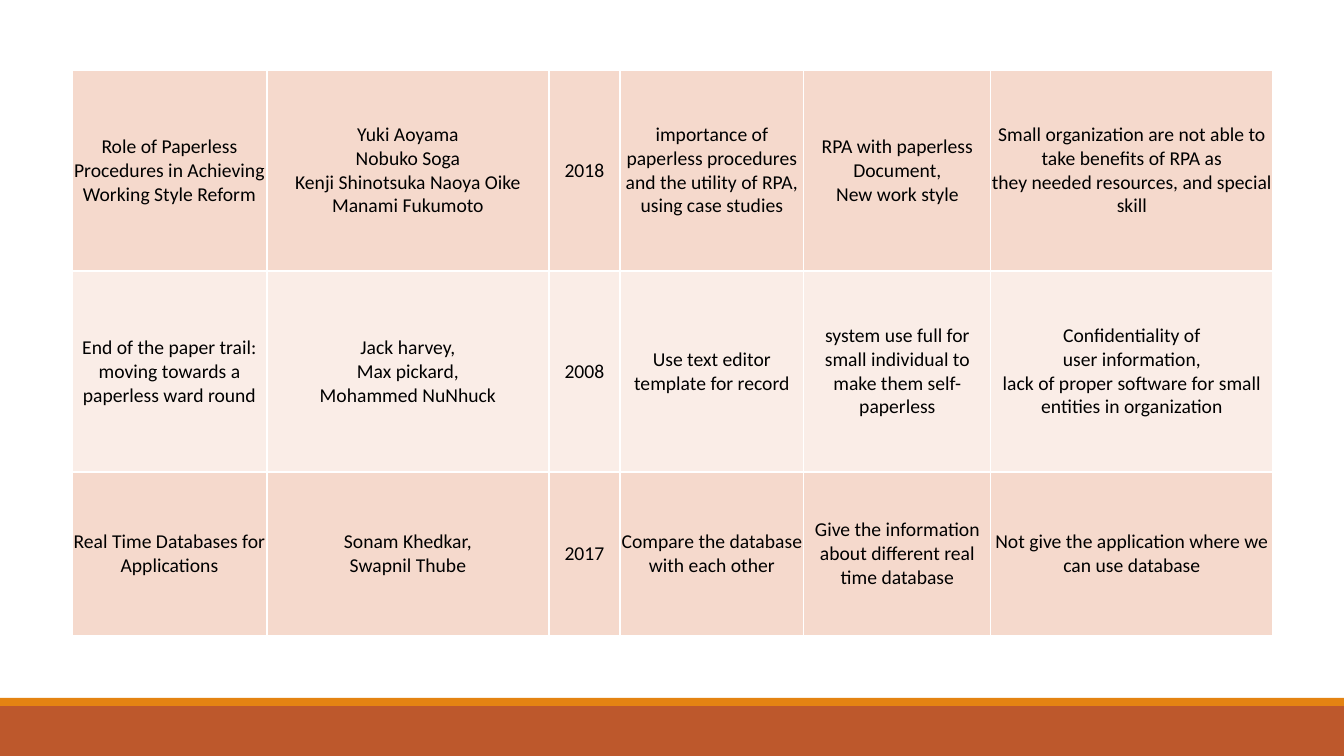
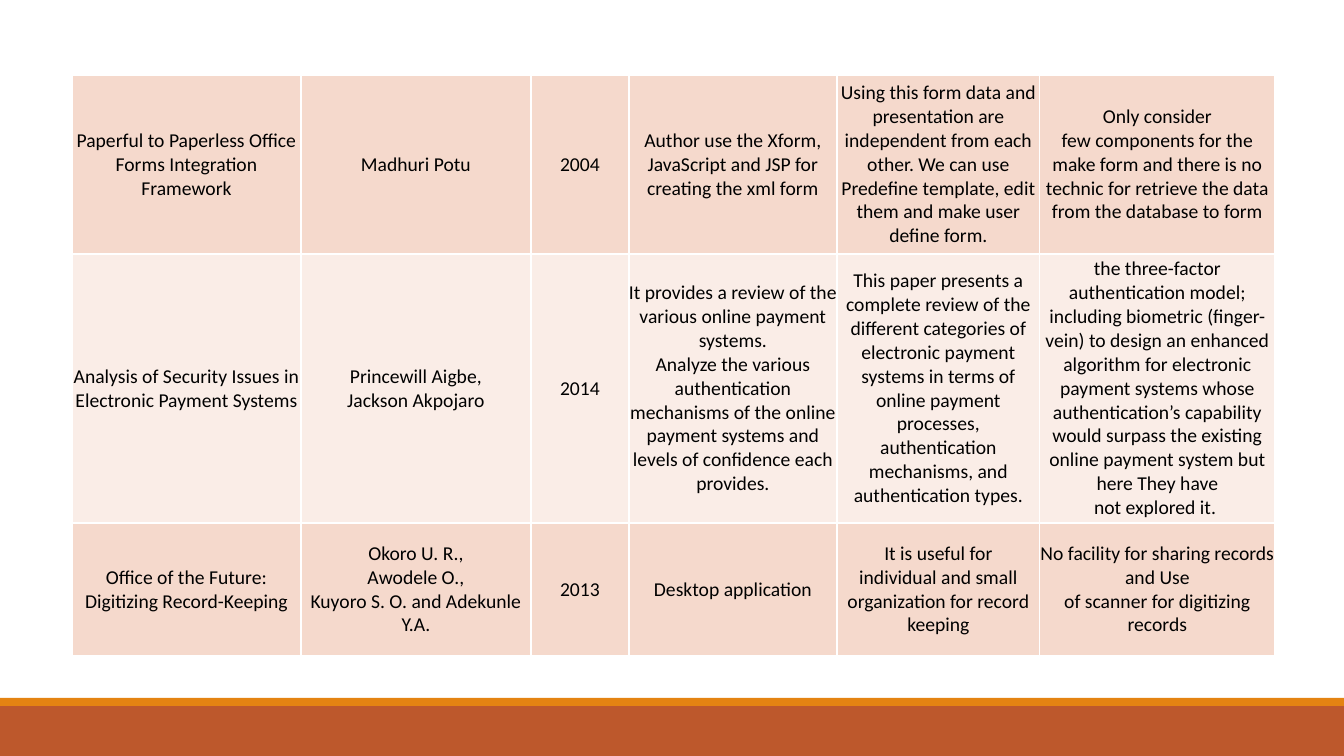
from pptx import Presentation
from pptx.dml.color import RGBColor
from pptx.enum.shapes import MSO_SHAPE
from pptx.enum.text import MSO_ANCHOR, PP_ALIGN
from pptx.oxml import parse_xml
from pptx.oxml.ns import nsdecls
from pptx.util import Pt

PX = 914400 / 100.8
WIDTH, HEIGHT = 1344, 756
RUST = RGBColor(0xBD, 0x58, 0x2C)
ORANGE = RGBColor(0xE4, 0x83, 0x12)
ROW_FILLS = [RGBColor(0xF5, 0xD9, 0xCC), RGBColor(0xFA, 0xED, 0xE7)]
BLACK = RGBColor(0, 0, 0)
BORDER = "FFFFFF"
FONT = "Calibri"
BANDS = [(706, 50, RUST), (698, 8, ORANGE)]
TABLE_LEFT = 72
NO_BREAK_SPACE = chr(160)

# In the cell texts "~" stands for a no-break space, "\n" starts a paragraph
# and "\v" breaks a line.
SURVEYS = [
    {
        "top": 70,
        "columns": [195, 282, 71, 184, 187, 282],
        "rows": [201, 201, 164],
        "cells": [
            [
                "Role of Paperless Procedures in Achieving Working Style Reform",
                "Yuki Aoyama\nNobuko Soga\nKenji~Shinotsuka~Naoya~Oike\nManami Fukumoto",
                "2018",
                "importance of paperless procedures and the utility of RPA, using case studies",
                "RPA~with paperless\nDocument,\nNew work style",
                "Small organization are not able to take benefits of RPA as "
                "they~needed~resources, and special skill",
            ],
            [
                "End of the paper~trail: moving~towards a paperless ward round",
                "Jack~harvey,\nMax~pickard,\nMohammed NuNhuck",
                "2008",
                "Use text editor template for record",
                "system use full for small~individual to make them~self-paperless",
                "Confidentiality of\vuser~information,\n"
                "lack of proper software for~small entities in organization",
            ],
            [
                "Real Time Databases for Applications",
                "Sonam Khedkar,\nSwapnil~Thube",
                "2017",
                "Compare the database with each other",
                "Give the information about different real time database",
                "Not give the application where we can use database",
            ],
        ],
    },
    {
        "top": 75,
        "columns": [229, 230, 98, 208, 203, 235],
        "rows": [179, 269, 133],
        "cells": [
            [
                "Paperful~to Paperless Office Forms Integration Framework",
                "Madhuri~Potu",
                "2004",
                "Author use the~Xform, JavaScript and JSP for creating the xml form",
                "Using this form data and presentation are independent from each other. "
                "We can use Predefine template, edit them and make user define form.",
                "Only consider few~components~for the make form and there is no technic "
                "for retrieve the data from the database to form",
            ],
            [
                "Analysis of Security Issues in Electronic Payment Systems",
                "Princewill~Aigbe,\nJackson~Akpojaro",
                "2014",
                "It provides a review of the various online payment systems.\n"
                "Analyze the various authentication mechanisms of the online payment "
                "systems and levels of confidence each provides.",
                "This paper presents a complete review of the different categories of "
                "electronic payment systems in terms of online payment processes, "
                "authentication mechanisms, and authentication types.",
                "the three-factor authentication model; including biometric (finger-vein) "
                "to design an enhanced algorithm for electronic payment systems whose "
                "authentication’s capability would surpass the existing online payment "
                "system but here They have not~explored~it.~",
            ],
            [
                "Office of the Future: Digitizing Record-Keeping",
                "Okoro U. R.,\nAwodele~O.,\nKuyoro~S. O. and Adekunle Y.A.",
                "2013",
                "Desktop application",
                "It is~useful~for individual~and small organization~for record keeping",
                "No facility for sharing records and~Use of~scanner~for~digitizing records",
            ],
        ],
    },
]


def px(length):
    return round(length * PX)


def fill_cell(cell, text, color):
    """Write centred text into a cell with a plain fill and thin borders."""
    cell.margin_left = cell.margin_right = cell.margin_top = cell.margin_bottom = 0
    cell.vertical_anchor = MSO_ANCHOR.MIDDLE
    cell.text_frame.text = text.replace("~", NO_BREAK_SPACE)
    for paragraph in cell.text_frame.paragraphs:
        paragraph.alignment = PP_ALIGN.CENTER
        paragraph.font.size = Pt(14)
        for span in paragraph.runs:
            span.font.name = FONT
            span.font.size = Pt(14)
            span.font.color.rgb = BLACK
    properties = cell._tc.get_or_add_tcPr()
    for side in ("lnL", "lnR", "lnT", "lnB"):
        properties.append(parse_xml(
            f'<a:{side} {nsdecls("a")} w="{Pt(1)}"><a:solidFill>'
            f'<a:srgbClr val="{BORDER}"/></a:solidFill></a:{side}>'
        ))
    cell.fill.solid()
    cell.fill.fore_color.rgb = color


deck = Presentation()
deck.slide_width, deck.slide_height = px(WIDTH), px(HEIGHT)
blank_layout = deck.slide_layouts[6]

for survey in SURVEYS:
    page = deck.slides.add_slide(blank_layout)

    for top, height, color in BANDS:
        band = page.shapes.add_shape(MSO_SHAPE.RECTANGLE, 0, px(top), px(WIDTH), px(height))
        band.shadow.inherit = False
        band.fill.solid()
        band.fill.fore_color.rgb = color
        band.line.fill.background()

    columns, rows = survey["columns"], survey["rows"]
    table = page.shapes.add_table(
        len(rows), len(columns), px(TABLE_LEFT), px(survey["top"]),
        px(sum(columns)), px(sum(rows)),
    ).table
    table.first_row = False
    for column, width in zip(table.columns, columns):
        column.width = px(width)
    for row_index, (row, height) in enumerate(zip(table.rows, rows)):
        row.height = px(height)
        for cell, text in zip(row.cells, survey["cells"][row_index]):
            fill_cell(cell, text, ROW_FILLS[row_index % 2])

deck.save("out.pptx")
